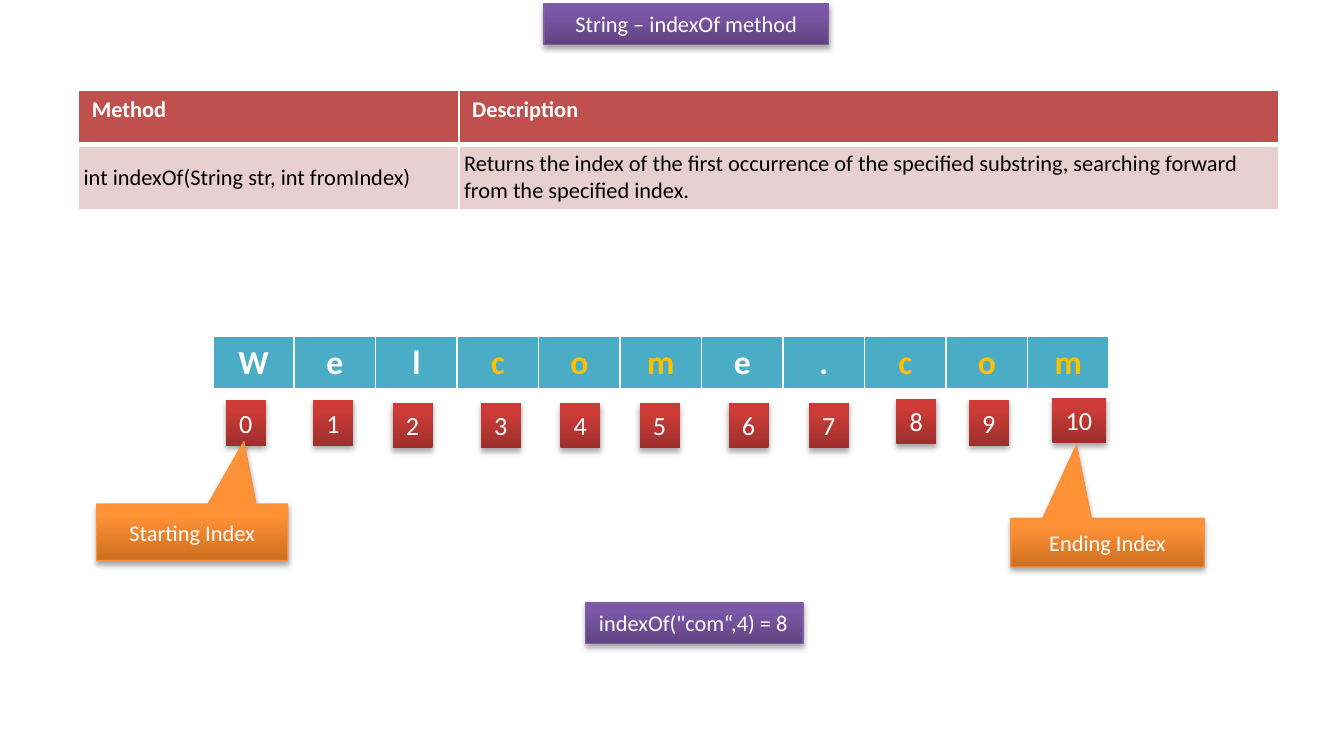
from lxml.etree import SubElement
from pptx import Presentation
from pptx.dml.color import RGBColor
from pptx.enum.shapes import MSO_SHAPE
from pptx.enum.text import MSO_ANCHOR, MSO_AUTO_SIZE, PP_ALIGN
from pptx.oxml.ns import qn
from pptx.util import Cm, Pt

PURPLE = ("5F4480", "7C57A8", "7D60A0")
RED = ("9C2F2D", "CE3B37", None)
ORANGE = ("CC6E20", "FF9136", "F69240")
WHITE, GOLD = "FFFFFF", "FFC000"


def color(code):
    return RGBColor.from_string(code)


def write(frame, text, size, tint=WHITE, bold=False, align=PP_ALIGN.LEFT):
    frame.text = text
    para = frame.paragraphs[0]
    para.alignment = align
    para.font.name = "Calibri"
    para.font.size = Pt(size)
    para.font.bold = bold
    para.font.color.rgb = color(tint)


def shade(shape, theme):
    dark, light, edge = theme
    shape.fill.gradient()
    shape.fill.gradient_angle = 90
    for stop, code, place in zip(shape.fill.gradient_stops, (dark, light), (0, 0.8)):
        stop.color.rgb = color(code)
        stop.position = place
    if edge:
        shape.line.color.rgb = color(edge)
        shape.line.width = Pt(0.75)
    else:
        shape.line.fill.background()
    shape.shadow.inherit = False
    effects = shape._element.spPr.find(qn("a:effectLst"))
    shadow = SubElement(effects, qn("a:outerShdw"), blurRad=str(Pt(3.1)),
                        dist=str(Pt(1.8)), dir="5400000", rotWithShape="0")
    black = SubElement(shadow, qn("a:srgbClr"), val="000000")
    SubElement(black, qn("a:alpha"), val="35000")


def add_title(slide, box, text):
    title = slide.shapes.title
    title.left, title.top, title.width, title.height = map(Cm, box)
    shade(title, PURPLE)
    frame = title.text_frame
    write(frame, text, 12, align=PP_ALIGN.CENTER)
    frame.word_wrap = True
    frame.vertical_anchor = MSO_ANCHOR.TOP
    frame.auto_size = MSO_AUTO_SIZE.NONE


def add_label(slide, box, text, size, theme):
    label = slide.shapes.add_shape(MSO_SHAPE.RECTANGLE, *map(Cm, box))
    shade(label, theme)
    frame = label.text_frame
    write(frame, text, size)
    frame.word_wrap = False
    frame.vertical_anchor = MSO_ANCHOR.TOP
    frame.auto_size = MSO_AUTO_SIZE.SHAPE_TO_FIT_TEXT


def add_callout(slide, box, text, tip):
    callout = slide.shapes.add_shape(MSO_SHAPE.RECTANGULAR_CALLOUT, *map(Cm, box))
    callout.adjustments[0], callout.adjustments[1] = tip
    shade(callout, ORANGE)
    write(callout.text_frame, text, 12, align=PP_ALIGN.CENTER)
    callout.text_frame.vertical_anchor = MSO_ANCHOR.MIDDLE


def paint(cell, code, base):
    props = cell._tc.get_or_add_tcPr()
    for side, width in (("L", 1), ("R", 1), ("T", 1), ("B", base)):
        line = SubElement(props, qn(f"a:ln{side}"), w=str(Pt(width)))
        fill = SubElement(line, qn("a:solidFill"))
        SubElement(fill, qn("a:srgbClr"), val=WHITE)
    cell.fill.solid()
    cell.fill.fore_color.rgb = color(code)


def add_grid(slide, box, rows, widths):
    grid = slide.shapes.add_table(rows, len(widths), *map(Cm, box)).table
    for column, width in zip(grid.columns, widths):
        column.width = Cm(width)
    return grid


def add_methods(slide, box, heads, values):
    grid = add_grid(slide, box, 2, (7.19, 15.5))
    for col, (head, value) in enumerate(zip(heads, values)):
        top, body = grid.cell(0, col), grid.cell(1, col)
        paint(top, "C0504D", 3)
        write(top.text_frame, head, 12, bold=True)
        paint(body, "E8D0D0", 1)
        write(body.text_frame, value, 12, "000000")
        body.vertical_anchor = MSO_ANCHOR.MIDDLE
        body.margin_left = body.margin_right = Cm(0.1)
        body.margin_top = body.margin_bottom = Cm(0.1)


def add_letters(slide, box, word, marked, spots):
    left, top, width, height = box
    grid = add_grid(slide, box, 1, [width / len(word)] * len(word))
    for index, (letter, (x, y)) in enumerate(zip(word, spots)):
        cell = grid.cell(0, index)
        paint(cell, "4BACC6", 3)
        tint = GOLD if letter in marked else WHITE
        write(cell.text_frame, letter, 18, tint, True, PP_ALIGN.CENTER)
        size = 0.76 if index < 10 else 1.02
        add_label(slide, (left + x, top + y, size, 0.86), str(index), 14, RED)


def main():
    deck = Presentation()
    deck.slide_width, deck.slide_height = Cm(25.4), Cm(13.97)
    slide = deck.slides.add_slide(deck.slide_layouts[5])
    add_title(slide, (10.28, 0.07, 5.38, 0.77), "String – indexOf method")
    add_methods(
        slide, (1.48, 1.7, 22.69, 2.08), ("Method", "Description"),
        ("int indexOf(String str, int fromIndex)",
         "Returns the index of the first occurrence of the specified substring, "
         "searching forward from the specified index."))
    lefts = (0.25, 1.9, 3.4, 5.07, 6.57, 8.07, 9.75, 11.27, 12.92, 14.29, 15.87)
    drops = (1.22, 1.22, *[1.27] * 6, 1.19, 1.22, 1.17)
    add_letters(slide, (4.02, 6.35, 16.94, 1.04), "Welcome.com", "com",
                zip(lefts, drops))
    add_callout(slide, (1.83, 9.53, 3.61, 1.07), "Starting Index", (0.27, -1.6))
    add_callout(slide, (19.1, 9.8, 3.66, 0.92), "Ending Index", (-0.16, -2))
    add_label(slide, (11.07, 11.4, 4.11, 0.77), 'indexOf("com“,4) = 8', 12, PURPLE)
    deck.save("out.pptx")


if __name__ == "__main__":
    main()
